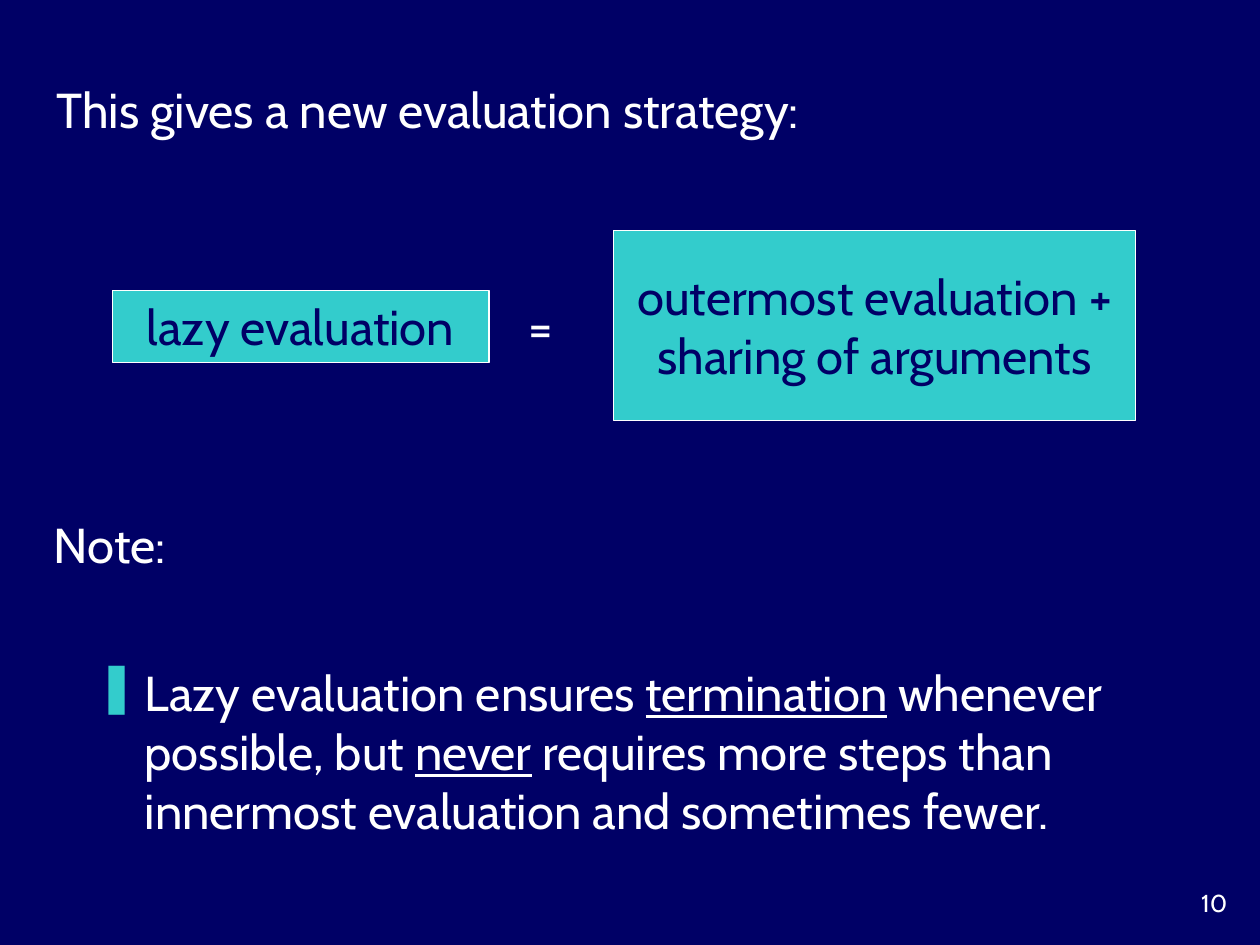
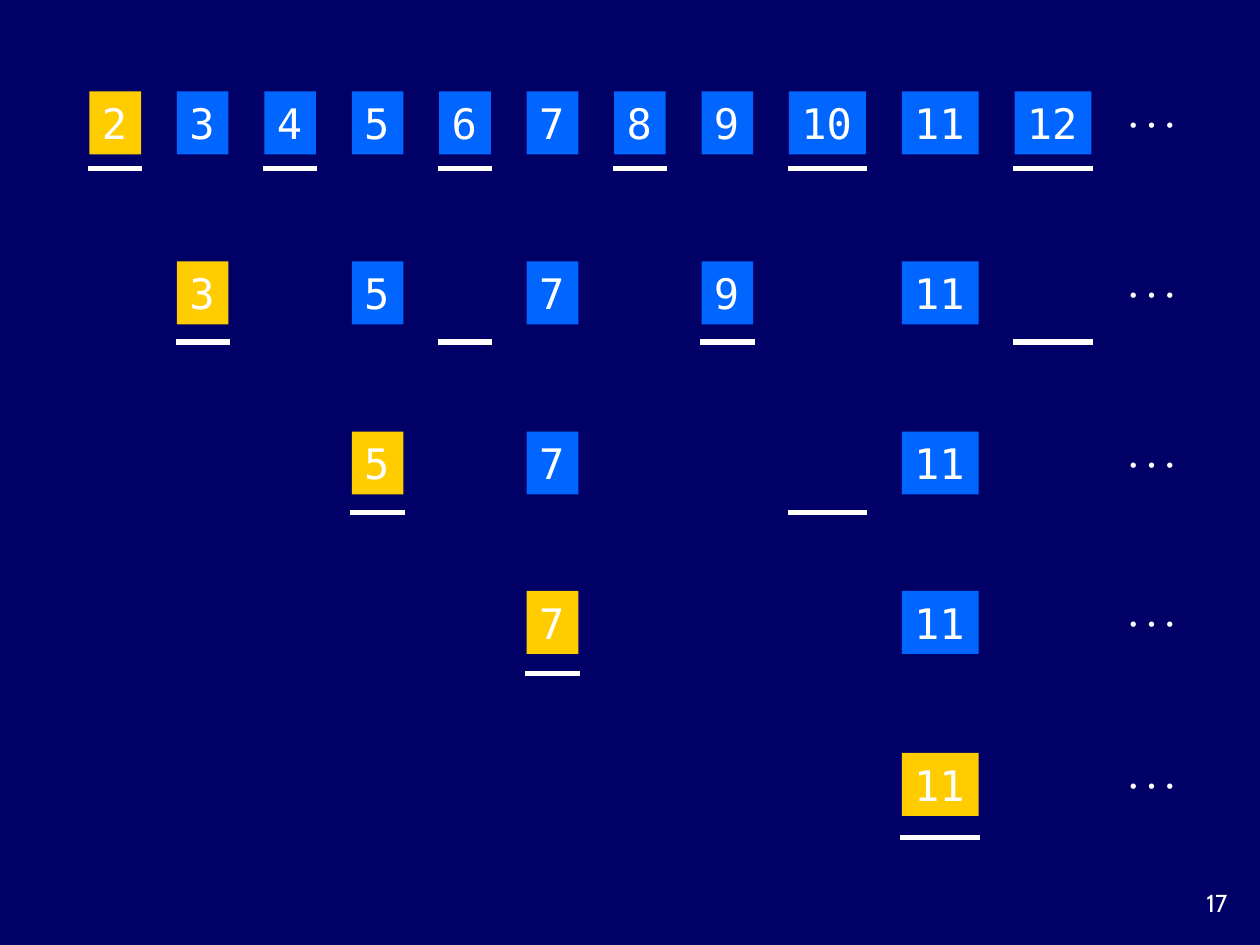
from dataclasses import dataclass
from lxml.etree import SubElement
from pptx import Presentation
from pptx.dml.color import RGBColor
from pptx.enum.shapes import MSO_CONNECTOR as Connector, MSO_SHAPE as Shape
from pptx.enum.text import MSO_ANCHOR as Anchor, PP_ALIGN as Align
from pptx.oxml.ns import qn
from pptx.util import Inches, Pt


@dataclass(frozen=True)
class Theme:
    navy: RGBColor = RGBColor(0x00, 0x00, 0x66)
    white: RGBColor = RGBColor(0xFF, 0xFF, 0xFF)
    teal: RGBColor = RGBColor(0x33, 0xCC, 0xCC)
    blue: RGBColor = RGBColor(0x00, 0x66, 0xFF)
    gold: RGBColor = RGBColor(0xFF, 0xCC, 0x00)
    text_font: str = "Cabin"
    code_font: str = "DejaVu Sans Mono"
    body_size: int = 28
    number_size: int = 24
    small_size: int = 14
    border: float = 0.75
    underline: float = 3


@dataclass(frozen=True)
class Box:
    left: float
    top: float
    width: float
    height: float

    def inner(self, left, top, width, height):
        return Box(self.left + left, self.top + top, width, height)

    def place(self):
        return [round(value * UNIT) for value in (self.left, self.top, self.width, self.height)]


THEME = Theme()
WIDTH, HEIGHT = Inches(10), Inches(7.5)
COLUMNS, ROWS = 100, 75
UNIT = WIDTH / COLUMNS
PAGE = Box(0, 0, COLUMNS, ROWS)

LAST_NUMBER = 12
LAST_NARROW_STEP = 10
SIEVE_ROWS = {2: (0, 6.1), 3: (13.5, 19.9), 5: (27, 33.4), 7: (39.65, 46.2), 11: (52.5, 59.2)}


def format_text(shape, size, color=THEME.white, font=THEME.text_font, align=Align.LEFT,
                anchor=Anchor.MIDDLE, wrap=True):
    frame = shape.text_frame
    frame.word_wrap = wrap
    frame.vertical_anchor = anchor
    for paragraph in frame.paragraphs:
        paragraph.alignment = align
        for run in paragraph.runs:
            run.font.name = font
            run.font.size = Pt(size)
            run.font.color.rgb = color


def add_text(slide, box, text, size=THEME.body_size, **style):
    shape = slide.shapes.add_textbox(*box.place())
    shape.text_frame.text = text
    format_text(shape, size, **style)
    return shape


def add_rectangle(slide, box, text, fill, size, border=None, **style):
    shape = slide.shapes.add_shape(Shape.RECTANGLE, *box.place())
    shape.shadow.inherit = False
    shape.fill.solid()
    shape.fill.fore_color.rgb = fill
    if border:
        shape.line.color.rgb = border
        shape.line.width = Pt(THEME.border)
    else:
        shape.line.fill.background()
    shape.text_frame.text = text
    format_text(shape, size, **style)


def add_underline(slide, left, top, width):
    start, level, end = (round(value * UNIT) for value in (left, top, left + width))
    line = slide.shapes.add_connector(Connector.STRAIGHT, start, level, end, level)
    line.line.color.rgb = THEME.white
    line.line.width = Pt(THEME.underline)
    line.line._get_or_add_ln().set("cap", "sq")
    SubElement(line._element.spPr, qn("a:effectLst"))


def add_slide(presentation, number):
    slide = presentation.slides.add_slide(presentation.slide_layouts[6])
    add_text(slide, PAGE.inner(91.7, 70, 6.7, 3.3), str(number), THEME.small_size,
             align=Align.RIGHT, anchor=Anchor.TOP)
    return slide


def add_equation(slide, box):
    style = dict(fill=THEME.teal, size=THEME.body_size, border=THEME.white,
                 color=THEME.navy, align=Align.CENTER)
    add_rectangle(slide, box.inner(0, 4.75, 29.9, 5.7), "lazy evaluation", **style)
    add_text(slide, box.inner(32.1, 4.75, 6.3, 5.7), "=")
    add_rectangle(slide, box.inner(39.8, 0, 41.4, 15.1),
                  "outermost evaluation +\nsharing of arguments", **style)


def add_bullet(paragraph, character, color, indent):
    properties = paragraph._p.get_or_add_pPr()
    properties.set("marL", str(indent))
    properties.set("indent", str(-indent))
    bullet_color = SubElement(properties, qn("a:buClr"))
    SubElement(bullet_color, qn("a:srgbClr")).set("val", str(color))
    SubElement(properties, qn("a:buChar")).set("char", character)


def add_note(slide, box):
    add_text(slide, box.inner(0, 0, 13.2, 5.7), "Note:")
    shape = slide.shapes.add_textbox(*box.inner(3.4, 11.8, 86.6, 17.7).place())
    paragraph = shape.text_frame.paragraphs[0]
    add_bullet(paragraph, "❚", THEME.teal, round(3.8 * UNIT))
    for text, underlined in (
        ("Lazy evaluation ensures ", False),
        ("termination", True),
        (" whenever possible, but ", False),
        ("never", True),
        (" requires more steps than innermost evaluation and sometimes fewer.", False),
    ):
        run = paragraph.add_run()
        run.text = text
        run.font.underline = underlined
    format_text(shape, THEME.body_size, anchor=Anchor.TOP)


def number_left(number):
    narrow = min(number, LAST_NARROW_STEP) - 2
    wide = max(number - LAST_NARROW_STEP, 0)
    return 6.94 * narrow + 8.95 * wide


def number_width(number):
    return 4.1 if number < 10 else 6.1


def add_dots(slide, box):
    for index in range(3):
        add_text(slide, box.inner(1.45 * index, 0, 2.9, 3.3), "•", THEME.small_size,
                 align=Align.CENTER, wrap=False)


def add_sieve(slide, box):
    for prime, (top, underline_top) in SIEVE_ROWS.items():
        smaller_primes = [other for other in SIEVE_ROWS if other < prime]
        for number in range(prime, LAST_NUMBER + 1):
            left, width = number_left(number), number_width(number)
            if all(number % other for other in smaller_primes):
                add_rectangle(slide, box.inner(left, top, width, 5), str(number),
                              THEME.gold if number == prime else THEME.blue,
                              THEME.number_size, font=THEME.code_font,
                              anchor=Anchor.TOP, wrap=False)
            if number % prime == 0:
                add_underline(slide, box.left + left + 0.1, box.top + underline_top, width - 0.2)
        add_dots(slide, box.inner(81.4, top + 0.8, 5.8, 3.3))


def build_strategy_slide(presentation):
    slide = add_slide(presentation, 10)
    add_text(slide, PAGE.inner(3.5, 5.8, 92.9, 5.7), "This gives a new evaluation strategy:")
    add_equation(slide, PAGE.inner(8.9, 18.3, 81.2, 15.1))
    add_note(slide, PAGE.inner(3.3, 40.3, 90, 29.5))


def build_sieve_slide(presentation):
    slide = add_slide(presentation, 17)
    add_sieve(slide, PAGE.inner(7.1, 7.25, 87.2, 59.2))


def main():
    presentation = Presentation()
    presentation.slide_width, presentation.slide_height = WIDTH, HEIGHT
    background = presentation.slide_master.background.fill
    background.solid()
    background.fore_color.rgb = THEME.navy
    build_strategy_slide(presentation)
    build_sieve_slide(presentation)
    presentation.save("out.pptx")


if __name__ == "__main__":
    main()
